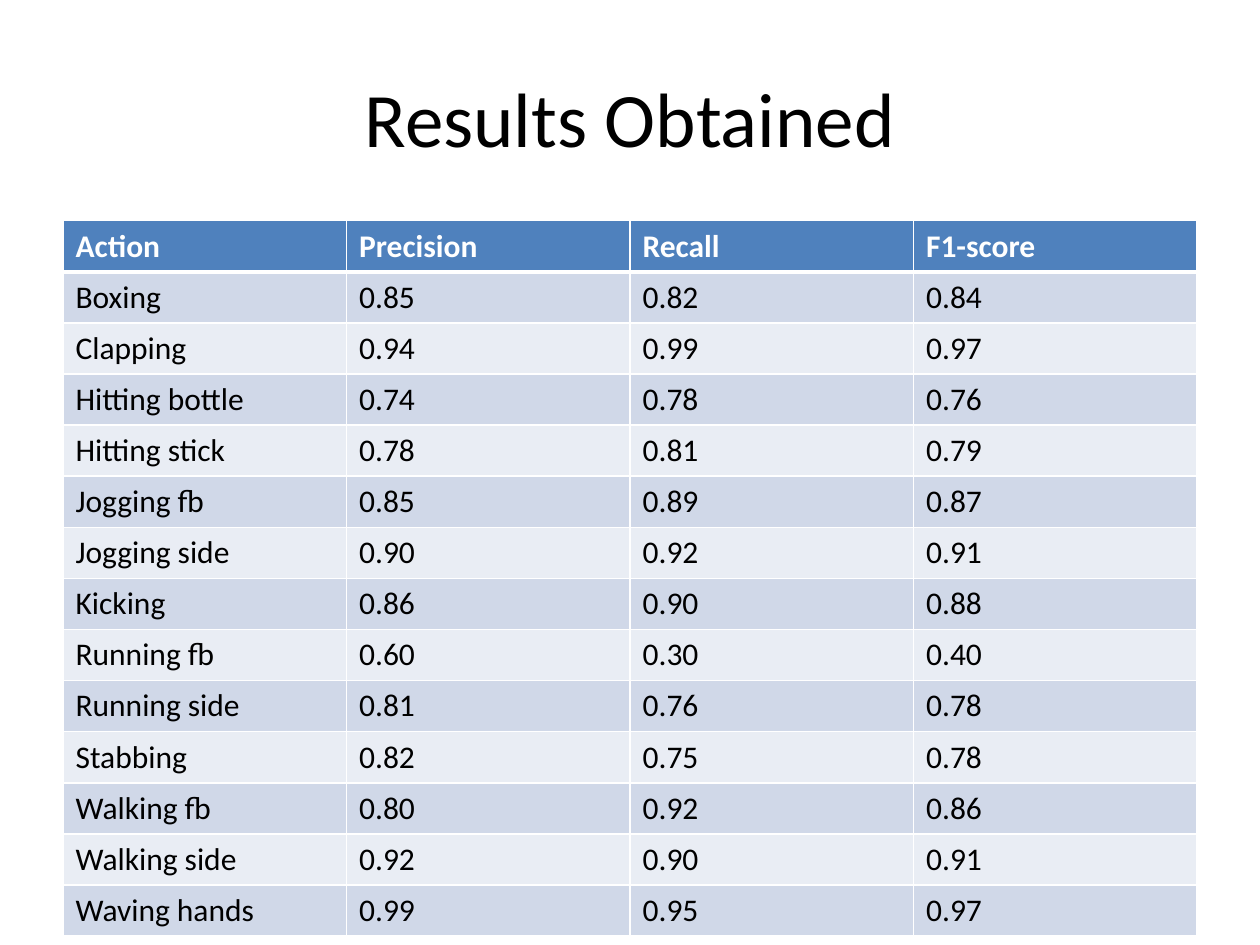
"""Build the slide with the per-action recognition scores."""
import lxml.etree
import pptx
import pptx.dml.color
import pptx.enum.text
import pptx.oxml.ns
import pptx.util
from pptx.util import Cm

THEME = {
    "font": "Calibri",
    "title_size": 44,
    "table_size": 18,
    "text": "000000",
    "header_text": "FFFFFF",
    "header_fill": "4F81BD",
    "bands": ("D0D8E8", "E9EDF4"),
    "rule": "FFFFFF",
    "rule_width": 1,
    "header_rule_width": 3,
}

SCORES = [
    ("Action", "Precision", "Recall", "F1-score"),
    ("Boxing", "0.85", "0.82", "0.84"),
    ("Clapping", "0.94", "0.99", "0.97"),
    ("Hitting bottle", "0.74", "0.78", "0.76"),
    ("Hitting stick", "0.78", "0.81", "0.79"),
    ("Jogging fb", "0.85", "0.89", "0.87"),
    ("Jogging side", "0.90", "0.92", "0.91"),
    ("Kicking", "0.86", "0.90", "0.88"),
    ("Running fb", "0.60", "0.30", "0.40"),
    ("Running side", "0.81", "0.76", "0.78"),
    ("Stabbing", "0.82", "0.75", "0.78"),
    ("Walking fb", "0.80", "0.92", "0.86"),
    ("Walking side", "0.92", "0.90", "0.91"),
    ("Waving hands", "0.99", "0.95", "0.97"),
]


def write(frame, text, *, size, color=THEME["text"], bold=False, align=pptx.enum.text.PP_ALIGN.LEFT):
    paragraph = frame.paragraphs[0]
    paragraph.alignment = align
    run = paragraph.add_run()
    run.text = text
    run.font.name = THEME["font"]
    run.font.size = pptx.util.Pt(size)
    run.font.bold = bold
    run.font.color.rgb = pptx.dml.color.RGBColor.from_string(color)


def rule_cell(cell, **widths):
    properties = cell._tc.get_or_add_tcPr()
    for side in ("L", "R", "T", "B"):
        width = pptx.util.Pt(widths.get(side, THEME["rule_width"]))
        line = lxml.etree.SubElement(properties, pptx.oxml.ns.qn(f"a:ln{side}"), w=str(int(width)))
        fill = lxml.etree.SubElement(line, pptx.oxml.ns.qn("a:solidFill"))
        lxml.etree.SubElement(fill, pptx.oxml.ns.qn("a:srgbClr"), val=THEME["rule"])


deck = pptx.Presentation()
deck.slide_width, deck.slide_height = Cm(25.4), Cm(19.05)
slide = deck.slides.add_slide(deck.slide_layouts[5])

heading = slide.shapes.title
heading.left, heading.top, heading.width, heading.height = Cm(1.27), Cm(0.76), Cm(22.86), Cm(3.18)
heading.text_frame.vertical_anchor = pptx.enum.text.MSO_ANCHOR.MIDDLE
write(heading.text_frame, "Results Obtained", size=THEME["title_size"],
      align=pptx.enum.text.PP_ALIGN.CENTER)

row_height = Cm(1.03)
results = slide.shapes.add_table(
    len(SCORES), len(SCORES[0]), Cm(1.27), Cm(4.45), Cm(22.86), row_height * len(SCORES)
).table

for row, values in enumerate(SCORES):
    results.rows[row].height = row_height
    is_header = row == 0
    fill_color = THEME["header_fill"] if is_header else THEME["bands"][(row - 1) % 2]
    text_color = THEME["header_text"] if is_header else THEME["text"]
    thick_side = {0: "B", 1: "T"}.get(row)
    widths = {thick_side: THEME["header_rule_width"]} if thick_side else {}
    for column, value in enumerate(values):
        cell = results.cell(row, column)
        rule_cell(cell, **widths)
        cell.fill.solid()
        cell.fill.fore_color.rgb = pptx.dml.color.RGBColor.from_string(fill_color)
        write(cell.text_frame, value, size=THEME["table_size"], color=text_color, bold=is_header)

deck.save("out.pptx")
